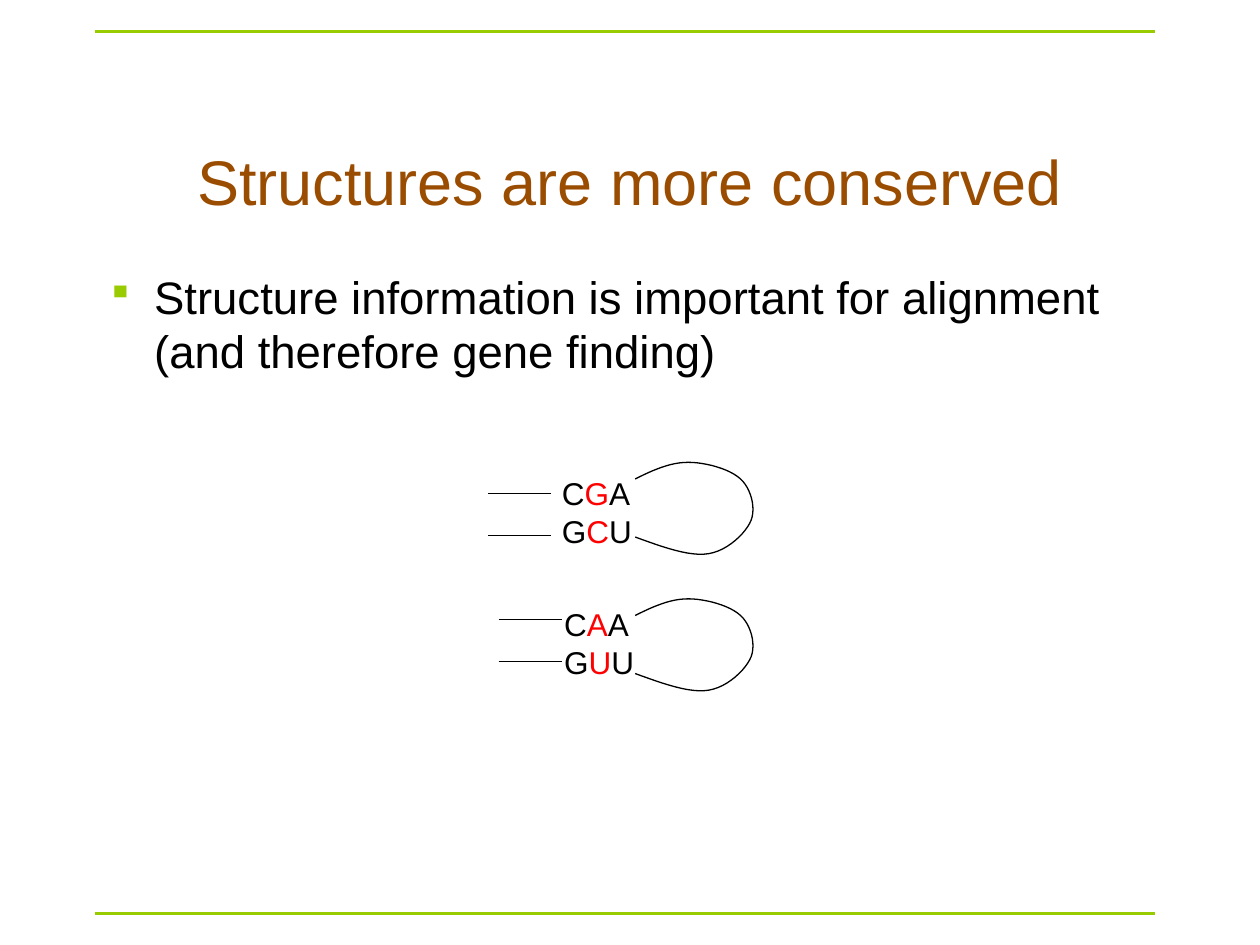
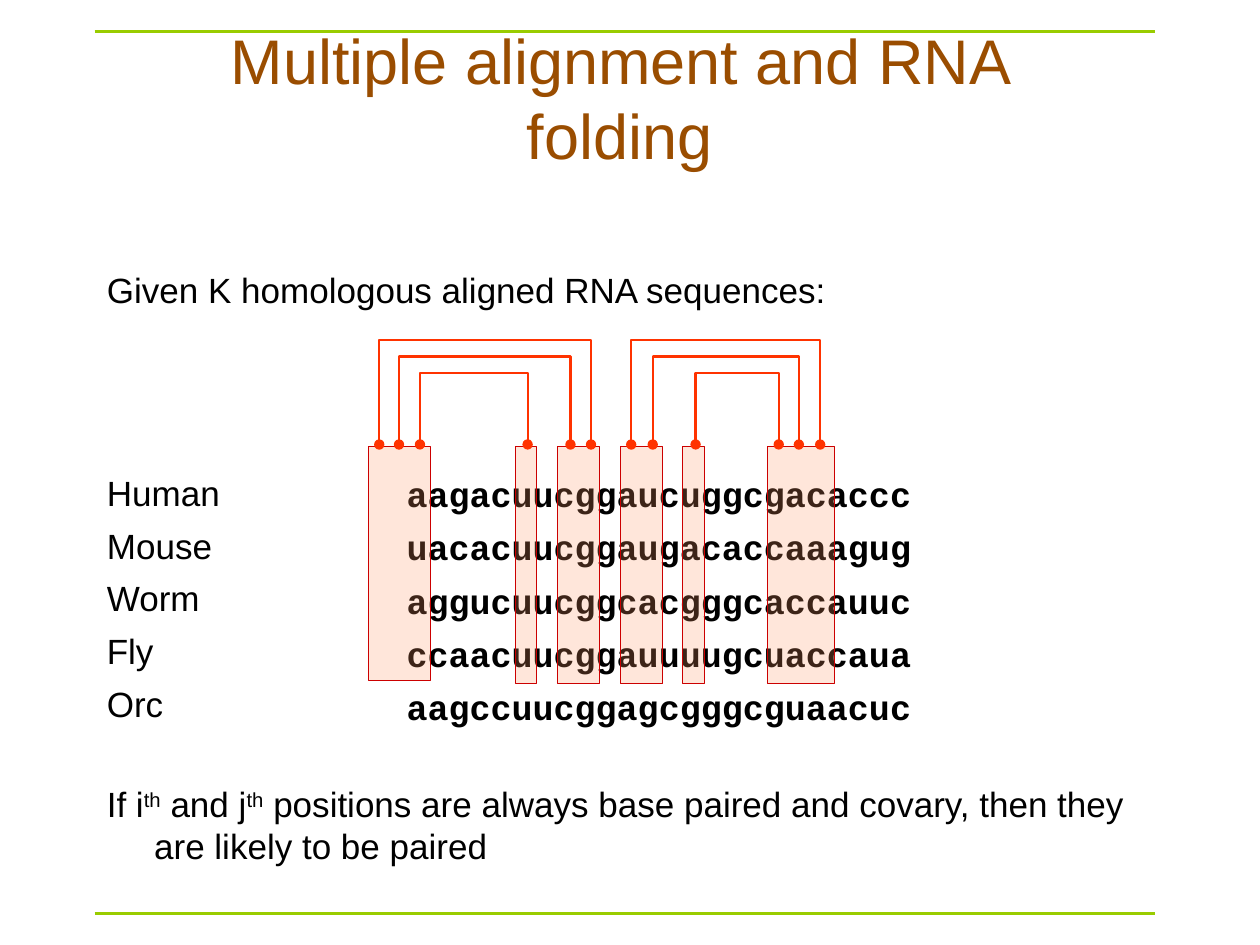
from lxml.etree import SubElement
from pptx import Presentation
from pptx.dml.color import RGBColor
from pptx.enum.shapes import MSO_CONNECTOR, MSO_SHAPE
from pptx.enum.text import MSO_ANCHOR, PP_ALIGN
from pptx.oxml.ns import qn
from pptx.util import Pt

GREEN, BROWN, BLACK, RED = "99CC00", "9A4D00", "000000", "FF0000"
ORANGE, PEACH, CRIMSON = "FF3300", "FF9966", "CC0000"
SANS, MONO = "Arial", "Courier New"
BODY_BOX = (54, 150, 606, 340)


def color(hex_text):
    return RGBColor.from_string(hex_text)


def set_font(font, size, hex_text=BLACK, name=SANS):
    font.size, font.name = Pt(size), name
    font.color.rgb = color(hex_text)


def set_line(shape, hex_text, width):
    shape.line.color.rgb = color(hex_text)
    shape.line.width = Pt(width)


def add_line(page, start, end, hex_text, width):
    line = page.shapes.add_connector(
        MSO_CONNECTOR.STRAIGHT, *(Pt(value) for value in (*start, *end)))
    set_line(line, hex_text, width)
    SubElement(line._element.spPr, qn("a:effectLst"))


def add_outline(page, points, hex_text, width):
    (first_x, first_y), *rest = [(Pt(x), Pt(y)) for x, y in points]
    builder = page.shapes.build_freeform(first_x, first_y)
    builder.add_line_segments(rest, close=False)
    outline = builder.convert_to_shape()
    outline.fill.background()
    outline.shadow.inherit = False
    set_line(outline, hex_text, width)
    return outline


def add_text_frame(page, box, wrap=True):
    frame = page.shapes.add_textbox(*(Pt(value) for value in box)).text_frame
    frame.word_wrap = wrap
    return frame


def add_span(para, text, hex_text=None, raised=False):
    span = para.add_run()
    span.text = text
    if hex_text:
        span.font.color.rgb = color(hex_text)
    if raised:
        span.font._element.set("baseline", "30000")


def hang(para, bullet=None):
    """Hanging indent and an optional square bullet."""
    props = para._p.get_or_add_pPr()
    props.set("marL", str(Pt(27)))
    props.set("indent", str(-Pt(27)))
    if bullet:
        bullet_color = SubElement(props, qn("a:buClr"))
        SubElement(bullet_color, qn("a:srgbClr"), val=GREEN)
        SubElement(props, qn("a:buSzPct"), val="80000")
        SubElement(props, qn("a:buChar"), char=bullet)
    else:
        SubElement(props, qn("a:buNone"))


# Shared page: green rules above and below, centred title
def add_page(deck, title, title_box):
    page = deck.slides.add_slide(deck.slide_layouts[6])
    for y in (18, 522):
        add_line(page, (54, y), (660, y), GREEN, 2.25)
    frame = add_text_frame(page, title_box)
    frame.vertical_anchor = MSO_ANCHOR.MIDDLE
    para = frame.paragraphs[0]
    para.alignment = PP_ALIGN.CENTER
    set_font(para.font, 36, BROWN)
    add_span(para, title)
    return page


def add_body(page, size, bullet=None):
    """Return a function that appends one paragraph to the body text."""
    frame = add_text_frame(page, BODY_BOX)
    unused = [frame.paragraphs[0]]

    def add_para(space_before):
        para = unused.pop() if unused else frame.add_paragraph()
        para.space_before = Pt(space_before)
        hang(para, bullet)
        set_font(para.font, size)
        return para
    return add_para


# Hairpin: two strands, base pairs, closing loop
def curve_points(start, curves, steps=12):
    points = [start]
    for one, two, end in curves:
        for step in range(1, steps + 1):
            t = step / steps
            weights = ((1 - t) ** 3, 3 * t * (1 - t) ** 2,
                       3 * t * t * (1 - t), t ** 3)
            points.append(tuple(
                sum(w * v for w, v in zip(weights, values))
                for values in zip(start, one, two, end)))
        start = end
    return points


LOOP = curve_points((0, 9.5), [
    ((10, 4.5), (20, 0), (30.2, 0)),
    ((40.3, 0), (54, 3.8), (60.2, 9.5)),
    ((66.2, 15), (69, 26), (66.2, 33.2)),
    ((63.3, 40.3), (53, 50.4), (42, 52.2)),
    ((31, 54), (16, 48.5), (0, 42.7))])


def add_hairpin(page, rows, bases_at, strands_at, loop_at):
    frame = add_text_frame(page, (*bases_at, 60, 50.5), wrap=False)
    for index, (before, changed, after) in enumerate(rows):
        para = frame.add_paragraph() if index else frame.paragraphs[0]
        set_font(para.font, 18)
        add_span(para, before)
        add_span(para, changed, hex_text=RED)
        add_span(para, after)
    left, top = loop_at
    add_outline(page, [(left + x, top + y) for x, y in LOOP], BLACK, 0.75)
    left, top = strands_at
    for y in (top, top + 24):
        add_line(page, (left, y), (left + 36, y), BLACK, 0.75)


def build_conserved_page(deck):
    page = add_page(deck, "Structures are more conserved", (36, 56, 648, 94))
    add_para = add_body(page, 26, bullet="▪")
    add_span(add_para(6.5), "Structure information is important for alignment "
                            "(and therefore gene finding)")
    add_hairpin(page, ("CGA", "GCU"), (314, 267.5), (279, 282), (363, 264.2))
    add_hairpin(page, ("CAA", "GUU"), (315.2, 342.2), (285, 354), (363, 342.2))


# Alignment: sequences, paired columns, pairing brackets
SEQUENCES = {
    "Human": "aagacuucggaucuggcgacaccc",
    "Mouse": "uacacuucggaugacaccaaagug",
    "Worm": "aggucuucggcacgggcaccauuc",
    "Fly": "ccaacuucggauuuugcuaccaua",
    "Orc": "aagccuucggagcgggcguaacuc"}
# left, width, height
COLUMNS = [(210.7, 35.5, 134), (294.5, 12, 135.7), (318.5, 24, 135.7),
           (354.7, 24, 135.7), (390.2, 12.5, 135.7), (438.5, 38.5, 135.7)]
# left and right ends, outermost bracket first
STEMS = [[(216.7, 337.7), (228, 326), (240, 301.5)],
         [(360.7, 468.7), (373, 456.5), (397.5, 445)]]


def add_sequences(page, box):
    frame = add_text_frame(page, box)
    for index, bases in enumerate(SEQUENCES.values()):
        para = frame.add_paragraph() if index else frame.paragraphs[0]
        para.space_before = Pt(6.4 if index else 0)
        set_font(para.font, 20, name=MONO)
        para.font.bold = True
        add_span(para, bases)


def add_columns(page, top):
    for left, width, height in COLUMNS:
        column = page.shapes.add_shape(
            MSO_SHAPE.RECTANGLE, Pt(left), Pt(top), Pt(width), Pt(height))
        column.shadow.inherit = False
        column.fill.solid()
        column.fill.fore_color.rgb = color(PEACH)
        fill = column._element.spPr.find(qn("a:solidFill"))
        SubElement(fill[0], qn("a:alpha"), val="24000")
        set_line(column, CRIMSON, 0.5)


def add_brackets(page, top, bottom):
    for stem in STEMS:
        for depth, (left, right) in enumerate(stem):
            y = top + 9.25 * depth
            bracket = add_outline(
                page, [(left, bottom), (left, y), (right, y), (right, bottom)],
                ORANGE, 1.25)
            line = bracket.line._get_or_add_ln()
            for end in ("a:headEnd", "a:tailEnd"):
                SubElement(line, qn(end), type="oval")


def build_alignment_page(deck):
    page = add_page(deck, "Multiple alignment and RNA folding",
                    (72, 30, 564, 50.5))
    add_para = add_body(page, 20)
    add_span(add_para(5), "Given K homologous aligned RNA sequences:")
    for index, species in enumerate(SEQUENCES):
        add_span(add_para(6.1 if index else 91.8), species)
    para = add_para(33.5)
    for text, raised in (
            ("If i", False), ("th", True), (" and j", False), ("th", True),
            (" positions are always base paired and covary, then they "
             "are likely to be paired", False)):
        add_span(para, text, raised=raised)
    add_sequences(page, (225.2, 266.5, 320, 146))
    add_columns(page, 255)
    add_brackets(page, 194.5, 254)


def main():
    deck = Presentation()
    deck.slide_width, deck.slide_height = Pt(720), Pt(540)
    build_conserved_page(deck)
    build_alignment_page(deck)
    deck.save("out.pptx")


if __name__ == "__main__":
    main()
